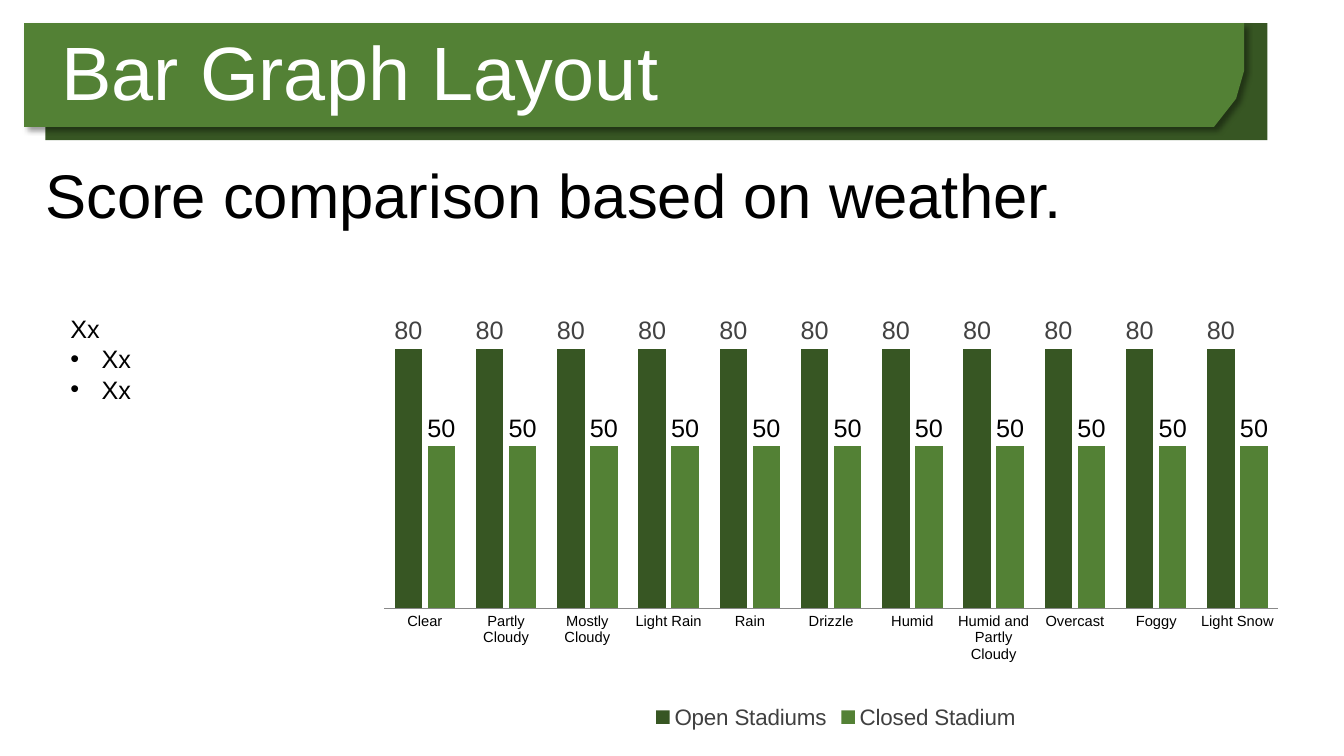
from lxml import etree
from pptx import Presentation
from pptx.chart.data import CategoryChartData
from pptx.dml.color import RGBColor
from pptx.enum.chart import XL_CHART_TYPE, XL_LABEL_POSITION, XL_LEGEND_POSITION, XL_TICK_MARK
from pptx.enum.shapes import MSO_SHAPE
from pptx.enum.text import MSO_ANCHOR, PP_ALIGN
from pptx.oxml import parse_xml
from pptx.oxml.ns import nsdecls, qn
from pptx.util import Inches, Pt

COLUMNS = XL_CHART_TYPE.COLUMN_CLUSTERED
OUTSIDE_END = XL_LABEL_POSITION.OUTSIDE_END
BOTTOM = XL_LEGEND_POSITION.BOTTOM
NO_TICK = XL_TICK_MARK.NONE
RECTANGLE = MSO_SHAPE.RECTANGLE
MIDDLE, TOP = MSO_ANCHOR.MIDDLE, MSO_ANCHOR.TOP
LEFT = PP_ALIGN.LEFT

COLORS = {
    "dark green": "375623",
    "green": "538135",
    "white": "FFFFFF",
    "black": "000000",
    "label gray": "424242",
    "legend gray": "404040",
    "axis gray": "898989",
}
WEATHER = ["Clear", "Partly Cloudy", "Mostly Cloudy", "Light Rain", "Rain", "Drizzle",
           "Humid", "Humid and Partly Cloudy", "Overcast", "Foggy", "Light Snow"]
# name, score, bar colour, label colour
STADIUMS = [
    ("Open Stadiums", 80, "dark green", "label gray"),
    ("Closed Stadium", 50, "green", "black"),
]


def rgb(name):
    return RGBColor.from_string(COLORS[name])


def style_font(font, size, color):
    for attribute, value in {"name": "Arial", "size": Pt(size), "bold": False}.items():
        setattr(font, attribute, value)
    font.color.rgb = rgb(color)


prs = Presentation()
prs.slide_width, prs.slide_height = Inches(13.33), Inches(7.5)
slide = prs.slides.add_slide(prs.slide_layouts[5])
shapes = slide.shapes

# Title banner
banner_back = shapes.add_shape(RECTANGLE, Inches(0.45), Inches(0.23), Inches(12.12), Inches(1.16))
outline = shapes.build_freeform(Inches(0.24), Inches(0.23))
outline.add_line_segments(
    [(Inches(x), Inches(y)) for x, y in
     [(12.34, 0.23), (12.34, 0.7), (12.26, 0.98), (12.04, 1.26), (0.24, 1.26)]])
banner = outline.convert_to_shape()
for part, color in [(banner_back, "dark green"), (banner, "green")]:
    part.shadow.inherit = False
    part.fill.solid()
    part.fill.fore_color.rgb = rgb(color)
    part.line.fill.background()
banner_effects = banner._element.spPr.find(qn("a:effectLst"))
banner_effects.append(parse_xml(
    f'<a:outerShdw {nsdecls("a")} blurRad="{Pt(4)}" dist="{Pt(3)}" dir="2700000" algn="tl" '
    f'rotWithShape="0"><a:srgbClr val="{COLORS["black"]}"><a:alpha val="40000"/>'
    '</a:srgbClr></a:outerShdw>'))

# Title, subtitle and notes beside the chart
title = shapes.title
shapes._spTree.append(title._element)  # in front of the banner
title.left, title.top, title.width, title.height = map(Inches, (0.51, 0.36, 10.98, 0.79))
subtitle = shapes.add_textbox(Inches(0.35), Inches(1.59), Inches(13.27), Inches(0.73))
remarks = shapes.add_textbox(Inches(0.6), Inches(3.06), Inches(2.8), Inches(1.01))
for box, lines, size, color, anchor, spacing in [
    (title, ["Bar Graph Layout"], 54, "white", MIDDLE, 0.9),
    (subtitle, ["Score comparison based on weather."], 44, "black", TOP, 0.9),
    (remarks, ["Xx", "Xx", "Xx"], 18, "black", TOP, 1.0),
]:
    frame = box.text_frame
    frame.text = "\n".join(lines)
    frame.word_wrap = True
    frame.vertical_anchor = anchor
    for paragraph in frame.paragraphs:
        paragraph.alignment = LEFT
        paragraph.line_spacing = spacing
        style_font(paragraph.runs[0].font, size, color)

for paragraph in remarks.text_frame.paragraphs[1:]:
    properties = paragraph._p.get_or_add_pPr()
    properties.set("marL", str(Inches(0.31)))
    properties.set("indent", str(-Inches(0.31)))
    etree.SubElement(properties, qn("a:buFont"), typeface="Arial")
    etree.SubElement(properties, qn("a:buChar"), char="•")

# Scores by weather
scores = CategoryChartData()
scores.categories = WEATHER
for name, score, *_ in STADIUMS:
    scores.add_series(name, [score] * len(WEATHER))
chart = shapes.add_chart(
    COLUMNS, Inches(3.72), Inches(2.68), Inches(9.14), Inches(4.6), scores).chart
chart.has_title = False
style_font(chart.font, 18, "black")

plot = chart.plots[0]
plot.vary_by_categories = False
plot.gap_width, plot.overlap = 75, -20
for series, (_, _, bar_color, label_color) in zip(plot.series, STADIUMS):
    series.format.fill.solid()
    series.format.fill.fore_color.rgb = rgb(bar_color)
    labels = series.data_labels
    labels.show_value = True
    labels.position = OUTSIDE_END
    style_font(labels.font, 18, label_color)

score_axis = chart.value_axis
for attribute, value in {"minimum_scale": 0, "maximum_scale": 100,
                         "has_major_gridlines": False, "visible": False}.items():
    setattr(score_axis, attribute, value)
weather_axis = chart.category_axis
weather_axis.major_tick_mark = NO_TICK
weather_axis.format.line.color.rgb = rgb("axis gray")
weather_axis.format.line.width = Pt(0.75)
style_font(weather_axis.tick_labels.font, 10.5, "black")

chart.has_legend = True
chart.legend.position = BOTTOM
chart.legend.include_in_layout = False
style_font(chart.legend.font, 16, "legend gray")

plot_area = chart._chartSpace.chart.plotArea
for old_layout in plot_area.findall(qn("c:layout")):
    plot_area.remove(old_layout)
layout = etree.Element(qn("c:layout"))
manual = etree.SubElement(layout, qn("c:manualLayout"))
for tag, value in [("layoutTarget", "inner"), ("xMode", "edge"), ("yMode", "edge"),
                   ("x", "0.01"), ("y", "0.03"), ("w", "0.97"), ("h", "0.7")]:
    etree.SubElement(manual, qn(f"c:{tag}"), val=value)
plot_area.insert(0, layout)

prs.save("out.pptx")
